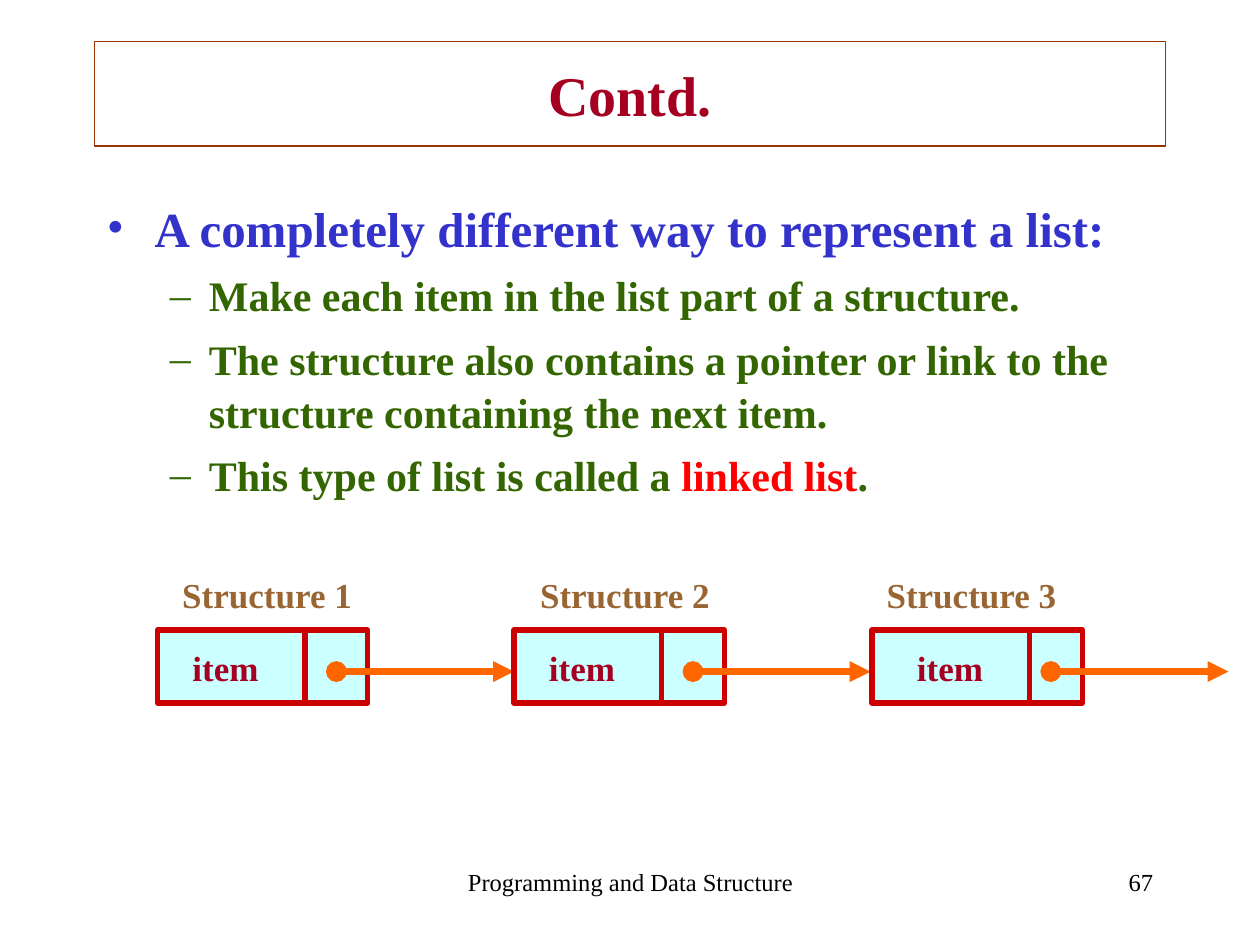
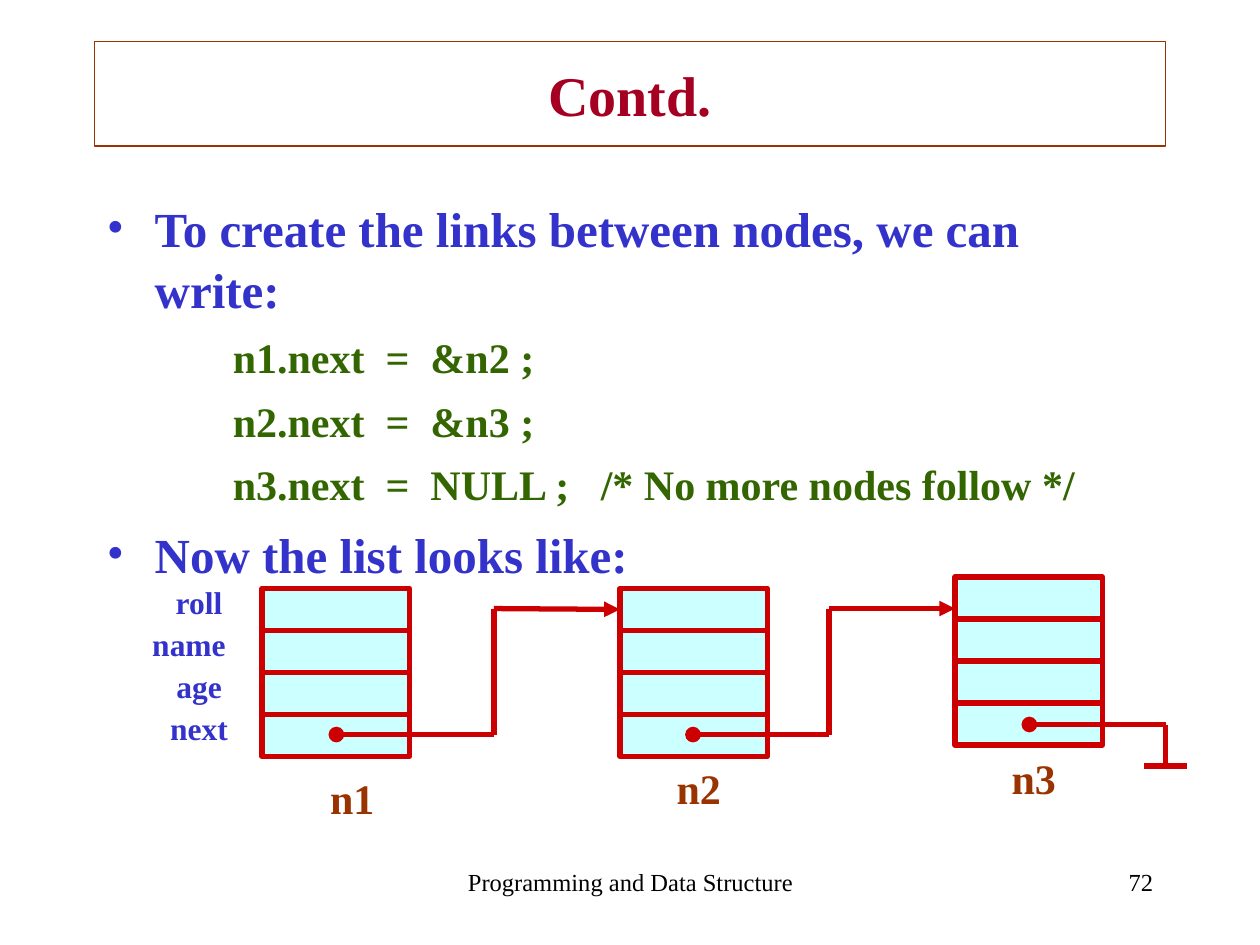
from dataclasses import dataclass

from lxml import etree
from pptx import Presentation
from pptx.dml.color import RGBColor
from pptx.enum import shapes, text
from pptx.oxml import ns
from pptx.util import Inches, Pt


@dataclass(frozen=True)
class Theme:
    font: str = "Times New Roman"
    title: str = "A50021"
    rust: str = "993300"
    blue: str = "3333CC"
    green: str = "336600"
    red: str = "FF0000"
    black: str = "000000"
    brown: str = "996633"
    cell_fill: str = "CCFFFF"
    cell_line: str = "CC0000"
    arrow: str = "FF6600"
    title_size: int = 32
    point_size: int = 28
    detail_size: int = 24
    name_size: int = 24
    structure_size: int = 20
    field_size: int = 18
    footer_size: int = 14
    cell_width: float = 3
    arrow_width: float = 4
    body_spacing: float = 1.05


THEME = Theme()
ALIGN = text.PP_ALIGN
FOOTER = "Programming and Data Structure"
ROW_HEIGHT = 1 / 3


def color(value):
    return RGBColor.from_string(value)


def format_run(run, size, value, bold=True):
    run.font.name = THEME.font
    run.font.size = Pt(size)
    run.font.bold = bold
    run.font.color.rgb = color(value)


def add_label(parent, words, left, top, width, height, size, value,
              align=ALIGN.CENTER, bold=True):
    box = parent.shapes.add_textbox(*map(Inches, (left, top, width, height)))
    box.text_frame.word_wrap = True
    box.text_frame.text = words
    paragraph = box.text_frame.paragraphs[0]
    paragraph.alignment = align
    format_run(paragraph.runs[0], size, value, bold)


def add_cell(parent, left, top, width, height):
    cell = parent.shapes.add_shape(
        shapes.MSO_SHAPE.RECTANGLE, *map(Inches, (left, top, width, height)))
    cell.shadow.inherit = False
    cell.fill.solid()
    cell.fill.fore_color.rgb = color(THEME.cell_fill)
    cell.line.color.rgb = color(THEME.cell_line)
    cell.line.width = Pt(THEME.cell_width)
    return cell


def add_line(parent, start, end, value=THEME.cell_line, width=THEME.cell_width,
             dot=False, arrow=False):
    """Draw a straight line, with an optional dot at its start and arrow at its end."""
    line = parent.shapes.add_connector(
        shapes.MSO_CONNECTOR.STRAIGHT, *map(Inches, (*start, *end)))
    line.line.color.rgb = color(value)
    line.line.width = Pt(width)
    outline = line.line._get_or_add_ln()
    if dot:
        etree.SubElement(outline, ns.qn("a:headEnd"), type="oval")
    if arrow:
        etree.SubElement(outline, ns.qn("a:tailEnd"), type="triangle")
    etree.SubElement(line._element.spPr, ns.qn("a:effectLst"))
    return line


def add_link(parent, points, arrow=True):
    """Join points with straight segments and return the last segment."""
    last = len(points) - 2
    for index, (start, end) in enumerate(zip(points, points[1:])):
        line = add_line(parent, start, end, dot=index == 0,
                        arrow=arrow and index == last)
    return line


def add_slide(presentation, title, number):
    slide = presentation.slides.add_slide(presentation.slide_layouts[5])
    shape = slide.shapes.title
    shape.left, shape.top, shape.width, shape.height = map(
        Inches, (0.75, 0.33, 8.5, 0.83))
    shape.line.color.rgb = color(THEME.rust)
    shape.line.width = Pt(0.75)
    shape.text_frame.text = title
    shape.text_frame.vertical_anchor = text.MSO_ANCHOR.MIDDLE
    paragraph = shape.text_frame.paragraphs[0]
    paragraph.alignment = ALIGN.CENTER
    format_run(paragraph.runs[0], THEME.title_size, THEME.title)
    add_label(slide, FOOTER, 3.42, 6.83, 3.17, 0.5,
              THEME.footer_size, THEME.black, bold=False)
    add_label(slide, str(number), 7.17, 6.83, 2.08, 0.5,
              THEME.footer_size, THEME.black, ALIGN.RIGHT, bold=False)
    return slide


def set_indent(paragraph, margin, hanging, bullet, value):
    properties = paragraph._p.get_or_add_pPr()
    properties.set("marL", str(Inches(margin)))
    properties.set("indent", str(-Inches(hanging)))
    if bullet:
        bullet_color = etree.SubElement(properties, ns.qn("a:buClr"))
        etree.SubElement(bullet_color, ns.qn("a:srgbClr"), val=value)
        etree.SubElement(properties, ns.qn("a:buFont"), typeface=THEME.font)
        etree.SubElement(properties, ns.qn("a:buChar"), char=bullet)
    else:
        etree.SubElement(properties, ns.qn("a:buNone"))


def add_body(slide, items):
    """Write (kind, *pieces) items; every second piece is highlighted."""
    styles = {
        "point": (0, 0.38, 0.38, "•", THEME.point_size, THEME.blue, 7),
        "detail": (1, 0.81, 0.31, "–", THEME.detail_size, THEME.green, 6),
        "code": (1, 0.81, 0.31, None, THEME.detail_size, THEME.green, 6),
    }
    box = slide.shapes.add_textbox(*map(Inches, (0.75, 1.5, 8.5, 5.17)))
    frame = box.text_frame
    frame.word_wrap = True
    for index, (kind, *pieces) in enumerate(items):
        level, margin, hanging, bullet, size, value, space = styles[kind]
        paragraph = frame.add_paragraph() if index else frame.paragraphs[0]
        set_indent(paragraph, margin, hanging, bullet, value)
        paragraph.level = level
        paragraph.line_spacing = THEME.body_spacing
        if index:
            paragraph.space_before = Pt(space)
        for position, piece in enumerate(pieces):
            run = paragraph.add_run()
            run.text = piece
            format_run(run, size, THEME.red if position % 2 else value)


def add_structure(slide, number, left, label_left, item_left, divider):
    group = slide.shapes.add_group_shape()
    add_cell(group, left, 5, 1.67, 0.58)
    add_line(group, (left + 1.42, 5.33), (left + 2.83, 5.33),
             THEME.arrow, THEME.arrow_width, dot=True, arrow=True)
    add_label(group, f"Structure {number}", label_left, 4.5, 2.08, 0.44,
              THEME.structure_size, THEME.brown)
    add_label(group, "item", item_left, 5.08, 1.08, 0.44,
              THEME.structure_size, THEME.title)
    add_line(group, (divider, 5), (divider, 5.58))


def add_node(slide, name, left, top, name_left, name_top):
    """Stack the four fields of a node above its name and return the cells."""
    cells = [add_cell(slide, left, top + row * ROW_HEIGHT, 1.17, ROW_HEIGHT)
             for row in range(4)]
    add_label(slide, name, name_left, name_top, 1.25, 0.5,
              THEME.name_size, THEME.rust)
    return cells


def build_linked_list_slide(presentation):
    slide = add_slide(presentation, "Contd.", 67)
    add_body(slide, [
        ("point", "A completely different way to represent a list:"),
        ("detail", "Make each item in the list part of a structure."),
        ("detail", "The structure also contains a pointer or link to the "
                   "structure containing the next item."),
        ("detail", "This type of list is called a ", "linked list", "."),
    ])
    add_structure(slide, 1, 1.25, 1.08, 1.25, 2.42)
    add_structure(slide, 2, 4.08, 3.92, 4.08, 5.25)
    add_structure(slide, 3, 6.92, 6.67, 7, 8.17)


def build_node_links_slide(presentation):
    slide = add_slide(presentation, "Contd.", 72)
    add_body(slide, [
        ("point", "To create the links between nodes, we can write:"),
        ("code", "      n1.next  =  &n2 ;"),
        ("code", "      n2.next  =  &n3 ;"),
        ("code", "      n3.next  =  NULL ;   /* No more nodes follow */"),
        ("point", "Now the list looks like:"),
    ])
    add_node(slide, "n1", 2.08, 4.67, 2.17, 6.08)
    second_node = add_node(slide, "n2", 4.92, 4.67, 4.92, 6)
    add_node(slide, "n3", 7.58, 4.58, 7.58, 5.92)

    first_link = add_link(
        slide, [(2.67, 5.83), (3.92, 5.83), (3.92, 4.83), (4.92, 4.83)])
    first_link.end_connect(second_node[0], 1)
    add_link(slide, [(5.5, 5.83), (6.58, 5.83), (6.58, 4.83), (7.58, 4.83)])
    add_link(slide, [(8.17, 5.75), (9.25, 5.75), (9.25, 6.08)], arrow=False)
    add_line(slide, (9.08, 6.08), (9.42, 6.08))

    fields = [("roll", 0.83), ("name", 0.75), ("age", 0.83), ("next", 0.83)]
    for row, (field, left) in enumerate(fields):
        add_label(slide, field, left, 4.58 + row * ROW_HEIGHT, 1.5, 0.4,
                  THEME.field_size, THEME.blue)


def main():
    presentation = Presentation()
    presentation.slide_width = Inches(10)
    presentation.slide_height = Inches(7.5)
    build_linked_list_slide(presentation)
    build_node_links_slide(presentation)
    presentation.save("out.pptx")


if __name__ == "__main__":
    main()
